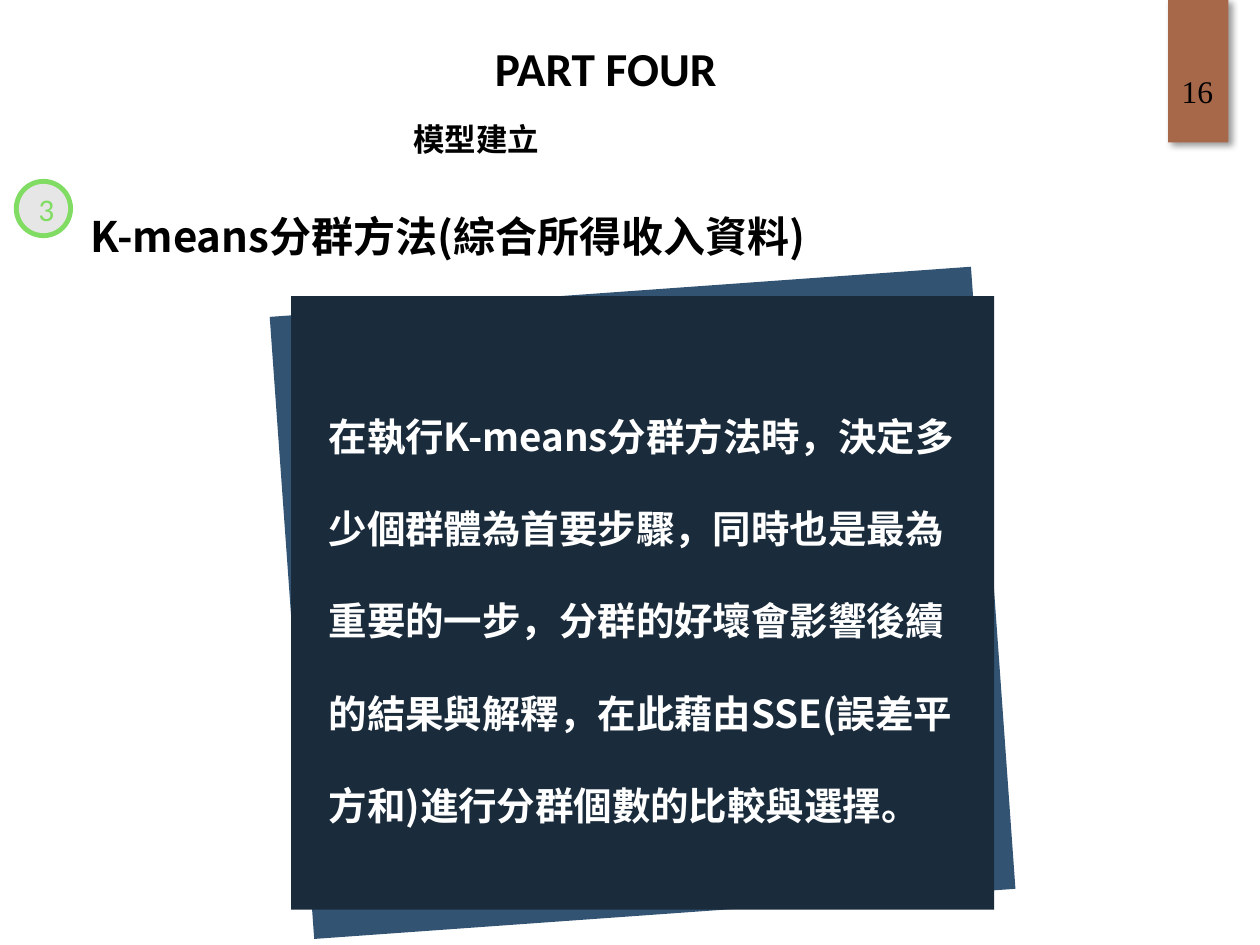
from dataclasses import dataclass

from lxml import etree
from pptx import Presentation
from pptx import util as u
from pptx.dml.color import RGBColor
from pptx.enum import shapes, text
from pptx.oxml import ns

Inches = u.Inches


@dataclass(frozen=True)
class Theme:
    ink: str = "000000"
    white: str = "FFFFFF"
    tab: str = "A7684A"
    navy: str = "1A2B3B"
    blue: str = "325472"
    green: str = "81DC63"
    grey: str = "E7E6E6"
    latin: str = "Calibri"
    cjk: str = "Noto Sans CJK SC"
    serif: str = "Times New Roman"
    title: float = 27
    heading: float = 24
    body: float = 22
    small: float = 18


THEME = Theme()
ALIGN = text.PP_ALIGN


def add_block(s, kind, box, color, rotation=0):
    sp = s.shapes.add_shape(kind, *map(Inches, box))
    sp.shadow.inherit = False
    sp.fill.solid()
    sp.fill.fore_color.rgb = RGBColor.from_string(color)
    sp.line.fill.background()
    sp.rotation = rotation
    return sp


def write(sp, words, size, font, color=THEME.ink, bold=True, wrap=True,
          align=ALIGN.LEFT, anchor=text.MSO_ANCHOR.TOP, spacing=None):
    tf = sp.text_frame
    for name, value in {"word_wrap": wrap, "vertical_anchor": anchor}.items():
        setattr(tf, name, value)
    p = tf.paragraphs[0]
    for name, value in {"alignment": align, "line_spacing": spacing}.items():
        setattr(p, name, value)
    r = p.add_run()
    r.text = words
    for name, value in {"size": u.Pt(size), "bold": bold, "name": font}.items():
        setattr(r.font, name, value)
    r.font.color.rgb = RGBColor.from_string(color)
    ea = etree.SubElement(r.font._element, ns.qn("a:ea"))
    ea.set("typeface", font)


def add_label(s, box, *args, **formats):
    write(s.shapes.add_textbox(*map(Inches, box)), *args, **formats)


def add_shadow(sp, color, opacity, blur, distance, angle):
    effects = sp._element.spPr.find(ns.qn("a:effectLst"))
    shadow = etree.SubElement(
        effects, ns.qn("a:outerShdw"), blurRad=str(u.Pt(blur)),
        dist=str(u.Pt(distance)), dir=str(angle * 60000), algn="tl", rotWithShape="0")
    clr = etree.SubElement(shadow, ns.qn("a:srgbClr"), val=color)
    etree.SubElement(clr, ns.qn("a:alpha"), val=str(opacity * 1000))


def page_tab(s, box, number):
    x, y, w, h = box
    sp = add_block(s, shapes.MSO_SHAPE.RECTANGLE, box, THEME.tab)
    add_shadow(sp, THEME.ink, opacity=40, blur=4, distance=3, angle=45)
    add_label(s, (x + 0.01, y + 0.53, w - 0.03, 0.4), number, THEME.small,
              THEME.serif, bold=False, wrap=False)


def header(s, box, title, subtitle):
    x, y, w, h = box
    add_label(s, (x + 0.65, y, 2.38, 0.56), title, THEME.title, THEME.latin,
              align=ALIGN.JUSTIFY)
    add_label(s, (x, y + h - 0.4, w, 0.4), subtitle, THEME.small, THEME.cjk,
              align=ALIGN.JUSTIFY)


def section_heading(s, box, number, words):
    x, y, w, h = box
    badge, ring = 0.47, 0.04
    oval = shapes.MSO_SHAPE.OVAL
    add_block(s, oval, (x, y, badge, badge), THEME.green)
    inner = badge - 2 * ring
    sp = add_block(s, oval, (x + ring, y + ring, inner, inner), THEME.grey)
    write(sp, number, THEME.small, THEME.latin, THEME.green, bold=False,
          align=ALIGN.CENTER, anchor=text.MSO_ANCHOR.MIDDLE)
    add_label(s, (x + 0.51, y + 0.2, w - 0.51, h - 0.2), words, THEME.heading,
              THEME.cjk)


def text_card(s, box, words):
    x, y, w, h = box
    rect = shapes.MSO_SHAPE.RECTANGLE
    add_block(s, rect, (x, y - 0.04, w, h + 0.08), THEME.blue, rotation=355.9)
    add_block(s, rect, box, THEME.navy)
    add_label(s, (x + 0.2, y + 0.51, w - 0.2, 3.8), words, THEME.body, THEME.cjk,
              color=THEME.white, spacing=2.0)


def main():
    prs = Presentation()
    prs.slide_width, prs.slide_height = Inches(10), Inches(7.5)
    s = prs.slides.add_slide(prs.slide_layouts[6])
    page_tab(s, (9.27, -0.01, 0.48, 1.14), "16")
    header(s, (3.18, 0.26, 3.83, 1.04), "PART FOUR", "模型建立")
    section_heading(s, (0.11, 1.42, 6.42, 0.7), "3", "K-means分群方法(綜合所得收入資料)")
    text_card(s, (2.31, 2.35, 5.58, 4.87),
              "在執行K-means分群方法時，決定多少個群體為首要步驟，同時也是最為重要的一步，"
              "分群的好壞會影響後續的結果與解釋，在此藉由SSE(誤差平方和)進行分群個數的比較與選擇。")
    prs.save("out.pptx")


if __name__ == "__main__":
    main()
